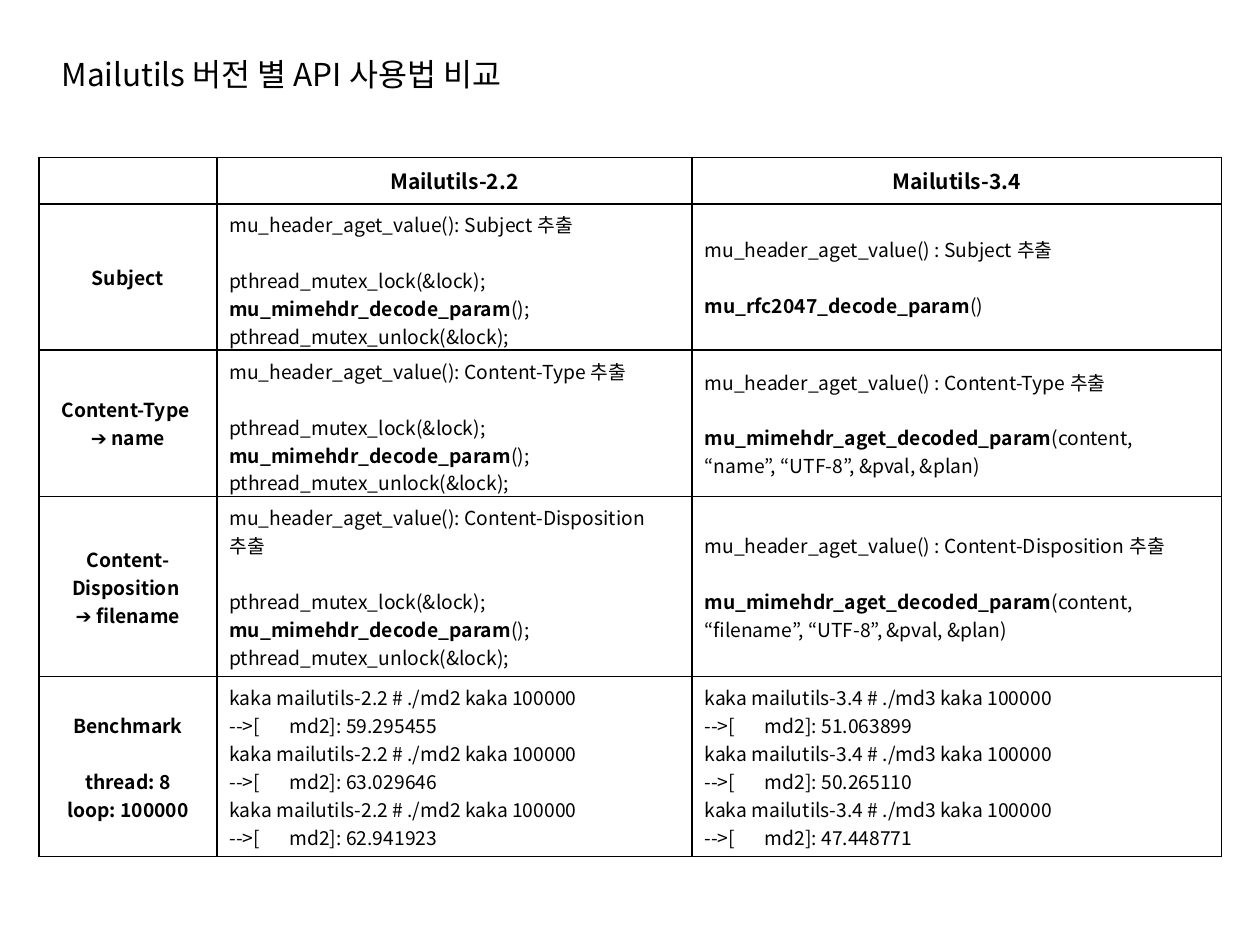
"""Build the slide comparing API usage across two Mailutils versions."""
from dataclasses import dataclass

from lxml.etree import SubElement
from pptx import Presentation
from pptx.dml.color import RGBColor
from pptx.enum.text import MSO_ANCHOR, MSO_AUTO_SIZE, PP_ALIGN
from pptx.oxml.ns import qn
from pptx.util import Cm, Pt


@dataclass(frozen=True)
class Theme:
    font: str = "Noto Sans CJK KR"
    ink: str = "000000"
    title: int = 18
    header: int = 12
    body: int = 11
    gap: int = 16
    border: int = 1


@dataclass(frozen=True)
class Line:
    text: str
    strong: str = ""
    gap: bool = False


@dataclass(frozen=True)
class Topic:
    label: list[Line]
    old: list[Line]
    new: list[Line]


THEME = Theme()


def style(paragraph, size: int, bold: bool = False, centred: bool = False) -> None:
    font = paragraph.font
    font.name, font.size, font.bold = THEME.font, Pt(size), bold
    font.color.rgb = RGBColor.from_string(THEME.ink)
    paragraph.alignment = PP_ALIGN.CENTER if centred else PP_ALIGN.LEFT
    defaults = paragraph._p.pPr.find(qn("a:defRPr"))
    SubElement(defaults, qn("a:ea"), typeface=THEME.font)


def add_tab_stop(paragraph, position: int) -> None:
    properties = paragraph._p.pPr
    stops = SubElement(properties, qn("a:tabLst"))
    SubElement(stops, qn("a:tab"), pos=str(position), algn="l")
    properties.find(qn("a:defRPr")).addprevious(stops)


def write(frame, lines: list[Line], size: int, bold: bool = False, centred: bool = False) -> None:
    for index, line in enumerate(lines):
        paragraph = frame.add_paragraph() if index else frame.paragraphs[0]
        style(paragraph, size, bold, centred)
        if line.gap:
            paragraph.space_before = Pt(THEME.gap)
        if "\t" in line.text:
            add_tab_stop(paragraph, Cm(1.21))
        if line.strong:
            call = paragraph.add_run()
            call.text, call.font.bold = line.strong, True
        paragraph.add_run().text = line.text


def outline(cell) -> None:
    properties = cell._tc.get_or_add_tcPr()
    for side in ("lnL", "lnR", "lnT", "lnB"):
        edge = SubElement(properties, qn(f"a:{side}"), w=str(Pt(THEME.border)))
        fill = SubElement(edge, qn("a:solidFill"))
        SubElement(fill, qn("a:srgbClr"), val=THEME.ink)
    cell.fill.background()
    cell.vertical_anchor = MSO_ANCHOR.MIDDLE


def old_usage(header: str) -> list[Line]:
    return [
        Line(f"mu_header_aget_value(): {header} 추출"),
        Line("pthread_mutex_lock(&lock);", gap=True),
        Line("();", strong="mu_mimehdr_decode_param"),
        Line("pthread_mutex_unlock(&lock);"),
    ]


def new_usage(header: str, call: str, arguments: str) -> list[Line]:
    return [
        Line(f"mu_header_aget_value() : {header} 추출"),
        Line(f"({arguments})", strong=call, gap=True),
    ]


def decoded_topic(header: str, field: str) -> Topic:
    arguments = f"content, “{field}”, “UTF-8”, &pval, &plan"
    return Topic(
        [Line(f"{header} "), Line(f"➔ {field}")],
        old_usage(header),
        new_usage(header, "mu_mimehdr_aget_decoded_param", arguments),
    )


def benchmark(version: str, program: str, timings: list[str]) -> list[Line]:
    return [
        line
        for timing in timings
        for line in (
            Line(f"kaka mailutils-{version} # ./{program} kaka 100000"),
            Line(f"-->[\tmd2]: {timing}"),
        )
    ]


HEADINGS = ["", "Mailutils-2.2", "Mailutils-3.4"]
TOPICS = [
    Topic([Line("Subject")], old_usage("Subject"),
          new_usage("Subject", "mu_rfc2047_decode_param", "")),
    decoded_topic("Content-Type", "name"),
    decoded_topic("Content-Disposition", "filename"),
    Topic(
        [Line("Benchmark"), Line("thread: 8", gap=True), Line("loop: 100000")],
        benchmark("2.2", "md2", ["59.295455", "63.029646", "62.941923"]),
        benchmark("3.4", "md3", ["51.063899", "50.265110", "47.448771"]),
    ),
]
COLUMN_WIDTHS = [3.58, 9.58, 10.67]
ROW_HEIGHTS = [0.94, 2.95, 2.95, 3.63, 3.63]


def add_title(slide) -> None:
    title = slide.shapes.add_textbox(Cm(0.99), Cm(0.99), Cm(10.16), Cm(1.02)).text_frame
    title.word_wrap = False
    title.auto_size = MSO_AUTO_SIZE.SHAPE_TO_FIT_TEXT
    write(title, [Line("Mailutils 버전 별 API 사용법 비교")], THEME.title)


def add_comparison(slide) -> None:
    comparison = slide.shapes.add_table(
        len(ROW_HEIGHTS), len(COLUMN_WIDTHS), Cm(0.79), Cm(3.17),
        Cm(sum(COLUMN_WIDTHS)), Cm(sum(ROW_HEIGHTS)),
    ).table
    comparison.first_row = comparison.horz_banding = False
    for column, width in zip(comparison.columns, COLUMN_WIDTHS):
        column.width = Cm(width)
    for row, height in zip(comparison.rows, ROW_HEIGHTS):
        row.height = Cm(height)
    for cell in comparison.iter_cells():
        outline(cell)
    for column, heading in enumerate(HEADINGS):
        cell = comparison.cell(0, column)
        cell.margin_top = cell.margin_bottom = 0
        if heading:
            write(cell.text_frame, [Line(heading)], THEME.header, bold=True, centred=True)
    for row, topic in enumerate(TOPICS, start=1):
        for column, lines in enumerate((topic.label, topic.old, topic.new)):
            cell, is_label = comparison.cell(row, column), column == 0
            write(cell.text_frame, lines, THEME.body, bold=is_label, centred=is_label)
    for row in (1, 2):
        comparison.cell(row, 1).margin_bottom = 0


def main() -> None:
    presentation = Presentation()
    presentation.slide_width, presentation.slide_height = Cm(25.4), Cm(19.05)
    slide = presentation.slides.add_slide(presentation.slide_layouts[6])
    add_title(slide)
    add_comparison(slide)
    presentation.save("out.pptx")


main()
